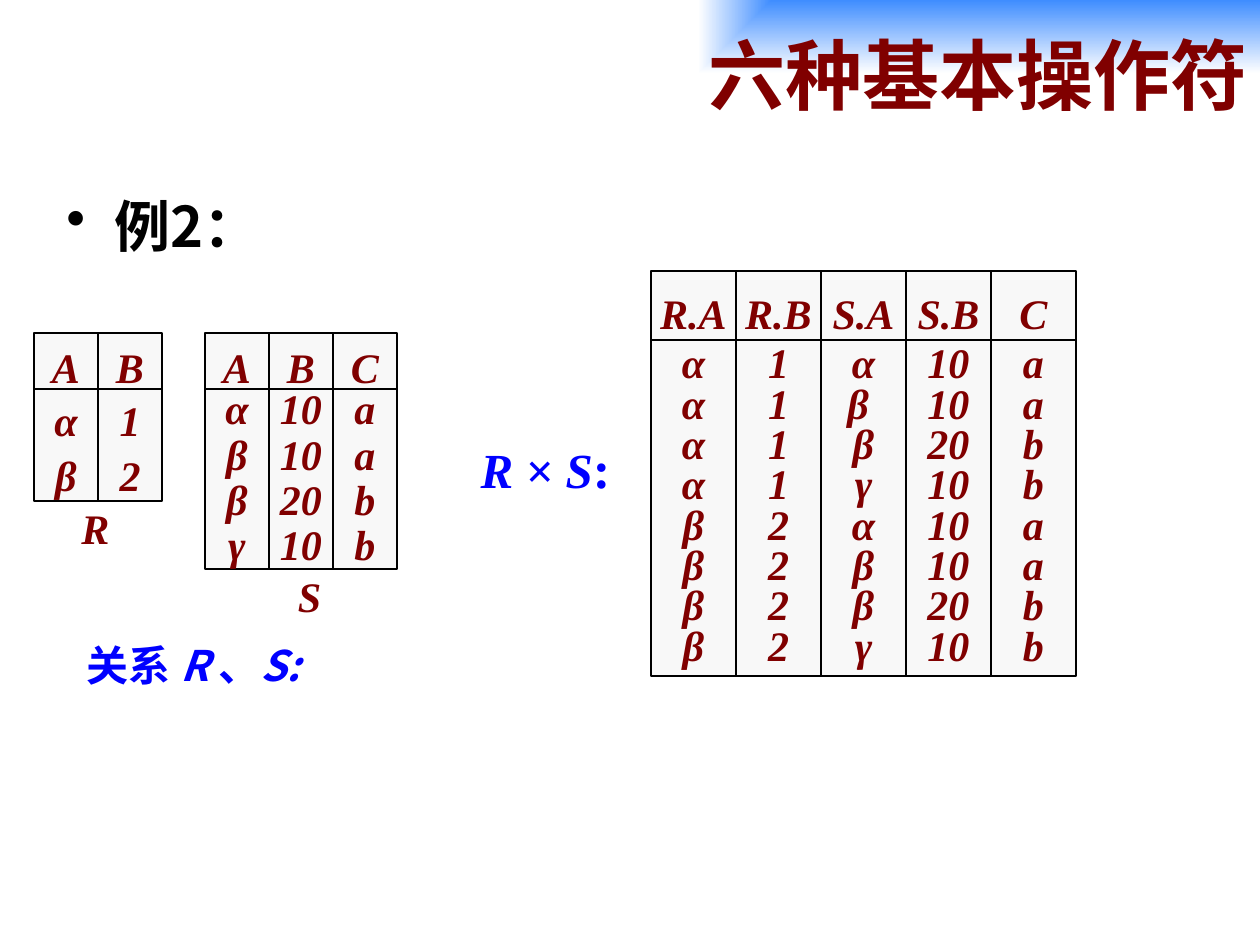
from lxml import etree
from pptx import Presentation, util as u
from pptx.dml.color import RGBColor
from pptx.enum import shapes, text
from pptx.oxml import parse_xml
from pptx.oxml.ns import nsdecls, qn

# Content
TITLE = "六种基本操作符"
EXAMPLE = "例2："
RELATIONS = [
    dict(left=34, top=333, column=64, head=68, body_top=389, body=112, spacing=1.1,
         columns={"A": "α β", "B": "1 2"}),
    dict(left=205, top=333, column=64, head=68, body_top=389, body=180, spacing=0.9,
         columns={"A": "α β β γ", "B": "10 10 20 10", "C": "a a b b"}),
    dict(left=651, top=271, column=85, head=84, body_top=340, body=336, spacing=0.8,
         columns={"R.A": "α α α α β β β β", "R.B": "1 1 1 1 2 2 2 2",
                  "S.A": "α β_ β γ α β β γ", "S.B": "10 10 20 10 10 10 20 10",
                  "C": "a a b b a a b b"}),
]  # an underscore stands for a trailing space inside a cell line
LABELS = [("R", (69, 496, 53, 63)), ("S", (285, 564, 49, 63))]

# Theme
LATIN, CJK, CJK_TITLE = "Times New Roman", "Noto Sans CJK JP", "Noto Sans CJK SC"
THEME = {
    "title": dict(size=44, name=CJK_TITLE, color="800000"),
    "body": dict(size=32, name=CJK, color="000000"),
    "cell": dict(size=24, name=LATIN, color="800000", italic=True),
    "caption": dict(size=24, name=CJK, color="0000FF"),
    "caption_italic": dict(size=24, name=CJK, color="0000FF", italic=True),
    "formula": dict(size=28, name=LATIN, color="0000FF"),
    "formula_italic": dict(size=28, name=LATIN, color="0000FF", italic=True),
    "formula_colon": dict(size=30, name=LATIN, color="0000FF"),
    "fill": "F8F8F8", "line": "000000", "band": ("3F8DFF", "FFFFFF"),
}
LEFT, CENTER, RIGHT = text.PP_ALIGN.LEFT, text.PP_ALIGN.CENTER, text.PP_ALIGN.RIGHT
TOP, MIDDLE = text.MSO_ANCHOR.TOP, text.MSO_ANCHOR.MIDDLE


def px(value):
    return u.Emu(round(value * 914400 / 126))


def color(name):
    return RGBColor.from_string(name)


def write(shape, lines, align=LEFT, anchor=MIDDLE, wrap=False, spacing=None):
    """Each line is a list of (style, words) runs."""
    frame = shape.text_frame
    for key, value in dict(word_wrap=wrap, vertical_anchor=anchor).items():
        setattr(frame, key, value)
    for index, runs in enumerate(lines):
        paragraph = frame.paragraphs[0] if index == 0 else frame.add_paragraph()
        paragraph.alignment = align
        if spacing:
            paragraph.line_spacing = spacing
        for style, words in runs:
            look = THEME[style]
            run = paragraph.add_run()
            run.text = words
            formats = dict(size=u.Pt(look["size"]), name=look["name"], bold=True,
                           italic=look.get("italic", False))
            for key, value in formats.items():
                setattr(run.font, key, value)
            run.font.color.rgb = color(look["color"])
            east = etree.SubElement(run.font._element, qn("a:ea"))
            east.set("typeface", look["name"])


def add_box(slide, box):
    shape = slide.shapes.add_shape(shapes.MSO_SHAPE.RECTANGLE, *map(px, box))
    shape.shadow.inherit = False
    return shape


def add_text(slide, box, runs, **layout):
    shape = slide.shapes.add_textbox(*map(px, box))
    write(shape, [runs], **layout)
    return shape


def add_title(slide):
    shape = add_box(slide, (136, 0, 1124, 147))
    shape.line.fill.background()
    shape.fill.gradient()
    gradient = shape._element.spPr.find(qn("a:gradFill"))
    start, end = THEME["band"]
    # Blue spreads from the top right corner
    gradient.getparent().replace(gradient, parse_xml(
        f'<a:gradFill {nsdecls("a")} rotWithShape="1"><a:gsLst>'
        f'<a:gs pos="0"><a:srgbClr val="{start}"/></a:gs>'
        f'<a:gs pos="100000"><a:srgbClr val="{end}"/></a:gs></a:gsLst>'
        '<a:path path="rect"><a:fillToRect l="100000" b="100000"/></a:path></a:gradFill>'))
    write(shape, [[("title", TITLE)]], align=RIGHT, wrap=True)


def add_bullet(shape, indent):
    properties = shape.text_frame.paragraphs[0]._p.get_or_add_pPr()
    properties.set("marL", str(px(indent)))
    properties.set("indent", str(-px(indent)))
    etree.SubElement(properties, qn("a:buChar")).set("char", "•")


def add_relation(slide, relation):
    width = relation["column"]
    for index, (heading, values) in enumerate(relation["columns"].items()):
        left = relation["left"] + index * width
        parts = [
            (relation["top"], relation["head"], [heading], None),
            (relation["body_top"], relation["body"], values.split(), relation["spacing"]),
        ]
        for top, height, lines, spacing in parts:
            cell = add_box(slide, (left, top, width, height))
            cell.fill.solid()
            cell.fill.fore_color.rgb = color(THEME["fill"])
            cell.line.color.rgb = color(THEME["line"])
            cell.line.width = u.Pt(0.75)
            write(cell, [[("cell", line.replace("_", " "))] for line in lines],
                  align=CENTER, spacing=spacing)


def main():
    presentation = Presentation()
    presentation.slide_width, presentation.slide_height = px(1260), px(945)
    slide = presentation.slides.add_slide(presentation.slide_layouts[6])

    # Heading and example
    add_title(slide)
    example = add_text(slide, (54, 185, 1134, 163), [("body", EXAMPLE)],
                       anchor=TOP, wrap=True)
    add_bullet(example, 48)

    # Relations and their names
    for relation in RELATIONS:
        add_relation(slide, relation)
    for name, box in LABELS:
        add_text(slide, box, [("cell", name)], align=CENTER)

    # Captions
    add_text(slide, (72, 633, 241, 63),
             [("caption", "关系 "), ("caption_italic", "R "), ("caption", "、"),
              ("caption_italic", "S:")], align=RIGHT, anchor=TOP, wrap=True)
    add_text(slide, (456, 430, 195, 76),
             [("formula", " "), ("formula_italic", "R × S"), ("formula_colon", ":")],
             wrap=True)

    presentation.save("out.pptx")


if __name__ == "__main__":
    main()
